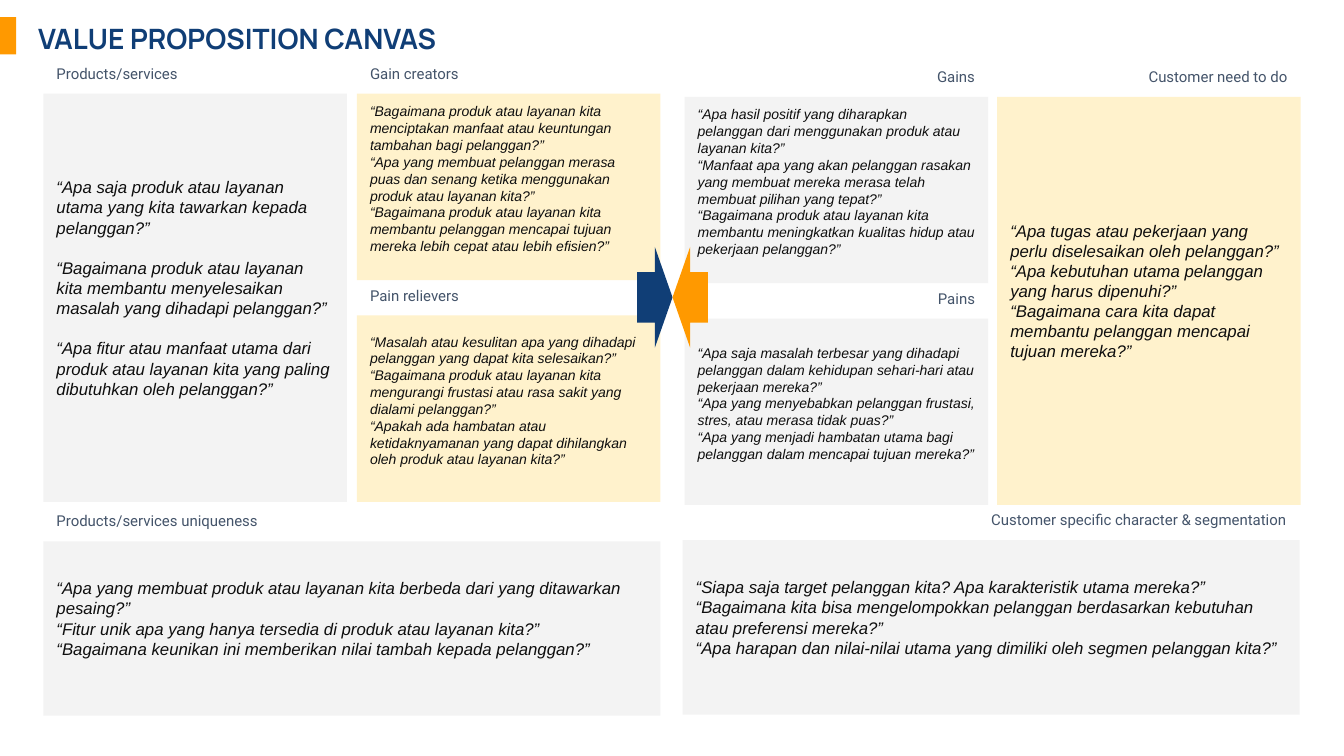
"""Build the Value Proposition Canvas slide."""
from dataclasses import dataclass

import lxml.etree
import pptx
import pptx.dml.color
import pptx.enum.shapes
import pptx.enum.text
import pptx.oxml.ns
import pptx.util
from pptx.util import Inches

SHAPES = pptx.enum.shapes.MSO_SHAPE
ALIGN = pptx.enum.text.PP_ALIGN
ANCHOR = pptx.enum.text.MSO_ANCHOR


@dataclass(frozen=True)
class Theme:
    navy: str = "103E76"
    orange: str = "FF9900"
    grey: str = "F3F3F3"
    cream: str = "FFF2CC"
    ink: str = "0E0E0E"
    slate: str = "44546A"
    title_font: str = "Manrope"
    label_font: str = "Roboto"
    body_font: str = "Arial"
    title_size: float = 20
    label_size: float = 10.7
    large: float = 12
    small: float = 10
    line_pitch: float = 1.2
    padding: float = 0.13


THEME = Theme()


@dataclass(frozen=True)
class Panel:
    label: str
    left: float
    top: float
    width: float
    height: float
    fill: str
    size: float
    questions: tuple[str, ...]
    align: ALIGN = ALIGN.LEFT
    spaced: bool = False


@dataclass(frozen=True)
class Block:
    kind: SHAPES
    left: float
    top: float
    width: float
    height: float
    fill: str


LEFT_COLUMNS = (0.43, 3.54)
RIGHT_COLUMNS = (6.79, 9.89)
LEFT_TOP, RIGHT_TOP, ROW_STEP = 0.93, 0.96, 2.2
COLUMN, WIDE = 3.01, 6.12
HALF, FULL, FOOT = 1.85, 4.05, 1.73
LABEL_RISE, LABEL_HEIGHT = 0.38, 0.45
ARROW_TOP, ARROW_WIDTH, ARROW_HEIGHT, MEETING_POINT = 2.45, 0.35, 1, 6.67

PANELS = (
    Panel("Products/services", LEFT_COLUMNS[0], LEFT_TOP, COLUMN, FULL, THEME.grey, THEME.large, (
        "“Apa saja produk atau layanan utama yang kita tawarkan kepada pelanggan?”",
        "“Bagaimana produk atau layanan kita membantu menyelesaikan masalah yang dihadapi pelanggan?”",
        "“Apa fitur atau manfaat utama dari produk atau layanan kita yang paling dibutuhkan oleh pelanggan?”",
    ), spaced=True),
    Panel("Gain creators", LEFT_COLUMNS[1], LEFT_TOP, COLUMN, HALF, THEME.cream, THEME.small, (
        "“Bagaimana produk atau layanan kita menciptakan manfaat atau keuntungan tambahan bagi pelanggan?”",
        "“Apa yang membuat pelanggan merasa puas dan senang ketika menggunakan produk atau layanan kita?”",
        "“Bagaimana produk atau layanan kita membantu pelanggan mencapai tujuan mereka lebih cepat atau lebih efisien?”",
    )),
    Panel("Pain relievers", LEFT_COLUMNS[1], LEFT_TOP + ROW_STEP, COLUMN, HALF, THEME.cream, THEME.small, (
        "“Masalah atau kesulitan apa yang dihadapi pelanggan yang dapat kita selesaikan?”",
        "“Bagaimana produk atau layanan kita mengurangi frustasi atau rasa sakit yang dialami pelanggan?”",
        "“Apakah ada hambatan atau ketidaknyamanan yang dapat dihilangkan oleh produk atau layanan kita?”",
    )),
    Panel("Gains", RIGHT_COLUMNS[0], RIGHT_TOP, COLUMN, HALF, THEME.grey, THEME.small, (
        "“Apa hasil positif yang diharapkan pelanggan dari menggunakan produk atau layanan kita?”",
        "“Manfaat apa yang akan pelanggan rasakan yang membuat mereka merasa telah membuat pilihan yang tepat?”",
        "“Bagaimana produk atau layanan kita membantu meningkatkan kualitas hidup atau pekerjaan pelanggan?”",
    ), ALIGN.RIGHT),
    Panel("Pains", RIGHT_COLUMNS[0], RIGHT_TOP + ROW_STEP, COLUMN, HALF, THEME.grey, THEME.small, (
        "“Apa saja masalah terbesar yang dihadapi pelanggan dalam kehidupan sehari-hari atau pekerjaan mereka?”",
        "“Apa yang menyebabkan pelanggan frustasi, stres, atau merasa tidak puas?”",
        "“Apa yang menjadi hambatan utama bagi pelanggan dalam mencapai tujuan mereka?”",
    ), ALIGN.RIGHT),
    Panel("Customer need to do", RIGHT_COLUMNS[1], RIGHT_TOP, COLUMN, FULL, THEME.cream, THEME.large, (
        "“Apa tugas atau pekerjaan yang perlu diselesaikan oleh pelanggan?”",
        "“Apa kebutuhan utama pelanggan yang harus dipenuhi?”",
        "“Bagaimana cara kita dapat membantu pelanggan mencapai tujuan mereka?”",
    ), ALIGN.RIGHT),
    Panel("Customer specific character & segmentation", 6.77, 5.36, WIDE, FOOT, THEME.grey, THEME.large, (
        "“Siapa saja target pelanggan kita? Apa karakteristik utama mereka?”",
        "“Bagaimana kita bisa mengelompokkan pelanggan berdasarkan kebutuhan atau preferensi mereka?”",
        "“Apa harapan dan nilai-nilai utama yang dimiliki oleh segmen pelanggan kita?”",
    ), ALIGN.RIGHT),
    Panel("Products/services uniqueness", LEFT_COLUMNS[0], 5.37, WIDE, FOOT, THEME.grey, THEME.large, (
        "“Apa yang membuat produk atau layanan kita berbeda dari yang ditawarkan pesaing?”",
        "“Fitur unik apa yang hanya tersedia di produk atau layanan kita?”",
        "“Bagaimana keunikan ini memberikan nilai tambah kepada pelanggan?”",
    )),
)

ACCENT = Block(SHAPES.RECTANGLE, 0, 0.17, 0.16, 0.37, THEME.orange)
ARROWS = (
    Block(SHAPES.RIGHT_ARROW, MEETING_POINT - ARROW_WIDTH, ARROW_TOP, ARROW_WIDTH, ARROW_HEIGHT, THEME.navy),
    Block(SHAPES.LEFT_ARROW, MEETING_POINT, ARROW_TOP, ARROW_WIDTH, ARROW_HEIGHT, THEME.orange),
)


def add_shadow(run) -> None:
    """Give a run a soft drop shadow."""
    qn = pptx.oxml.ns.qn
    effects = lxml.etree.SubElement(run.font._element, qn("a:effectLst"))
    shadow = lxml.etree.SubElement(
        effects, qn("a:outerShdw"), blurRad="38100", dist="38100", dir="2700000", algn="tl")
    black = lxml.etree.SubElement(shadow, qn("a:srgbClr"), val="000000")
    lxml.etree.SubElement(black, qn("a:alpha"), val="43000")


def write_text(frame, *paragraphs: str, font: str, size: float, color: str,
               bold: bool = False, italic: bool = False, shadow: bool = False,
               align: ALIGN = ALIGN.LEFT, anchor: ANCHOR = ANCHOR.TOP, gap: float = 0,
               inset: tuple[float, float, float] = (THEME.padding,) * 3) -> None:
    """Fill a frame with formatted paragraphs; inset is side, top, bottom."""
    side, top, bottom = inset
    frame.word_wrap = True
    frame.vertical_anchor = anchor
    frame.margin_left = frame.margin_right = Inches(side)
    frame.margin_top, frame.margin_bottom = Inches(top), Inches(bottom)
    for index, text in enumerate(paragraphs):
        paragraph = frame.add_paragraph() if index else frame.paragraphs[0]
        paragraph.alignment = align
        if index and gap:
            paragraph.space_before = pptx.util.Pt(gap)
        run = paragraph.add_run()
        run.text = text
        run.font.size = pptx.util.Pt(size)
        run.font.bold, run.font.italic = bold, italic
        run.font.color.rgb = pptx.dml.color.RGBColor.from_string(color)
        if shadow:
            add_shadow(run)
        run.font.name = font


def add_block(slide, block: Block):
    """Draw a flat filled shape and return it."""
    shape = slide.shapes.add_shape(
        block.kind, *map(Inches, (block.left, block.top, block.width, block.height)))
    shape.shadow.inherit = False
    shape.fill.solid()
    shape.fill.fore_color.rgb = pptx.dml.color.RGBColor.from_string(block.fill)
    shape.line.fill.background()
    return shape


def add_panel(slide, panel: Panel) -> None:
    """Draw a panel of questions with its label above."""
    area = add_block(slide, Block(
        SHAPES.RECTANGLE, panel.left, panel.top, panel.width, panel.height, panel.fill))
    line = panel.size * THEME.line_pitch
    write_text(area.text_frame, *panel.questions, font=THEME.body_font, size=panel.size,
               color=THEME.ink, italic=True, anchor=ANCHOR.MIDDLE,
               gap=line if panel.spaced else 0,
               inset=(THEME.padding, THEME.padding, THEME.padding + line / 72))
    label = slide.shapes.add_textbox(*map(
        Inches, (panel.left, panel.top - LABEL_RISE, panel.width, LABEL_HEIGHT)))
    write_text(label.text_frame, panel.label, font=THEME.label_font, size=THEME.label_size,
               color=THEME.slate, align=panel.align)


def main() -> None:
    """Compose the slide and save it."""
    deck = pptx.Presentation()
    deck.slide_width, deck.slide_height = Inches(13.33), Inches(7.5)
    slide = deck.slides.add_slide(deck.slide_layouts[6])
    add_block(slide, ACCENT)
    title = slide.shapes.add_textbox(*map(Inches, (0.28, 0.16, 6.04, 0.44)))
    write_text(title.text_frame, "VALUE PROPOSITION CANVAS", font=THEME.title_font,
               size=THEME.title_size, color=THEME.navy, bold=True, shadow=True,
               inset=(0.1, 0.05, 0.05))
    for panel in PANELS:
        add_panel(slide, panel)
    for arrow in ARROWS:
        add_block(slide, arrow)
    deck.save("out.pptx")


if __name__ == "__main__":
    main()
